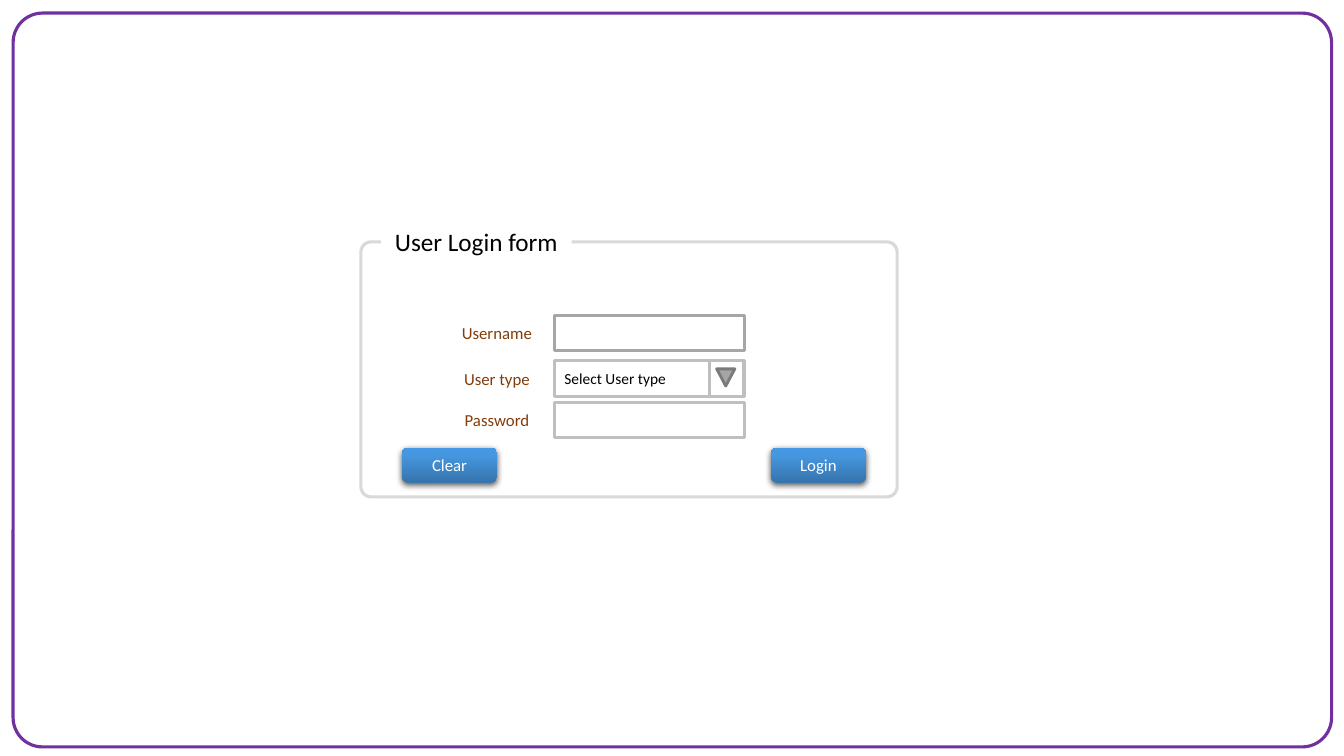
import dataclasses
import typing

import lxml.etree
import pptx
import pptx.dml.color
import pptx.enum.shapes
import pptx.enum.text
import pptx.oxml.ns
import pptx.util

SHAPES = pptx.enum.shapes.MSO_SHAPE
ANCHORS = pptx.enum.text.MSO_ANCHOR
ALIGNMENTS = pptx.enum.text.PP_ALIGN

# Ten grid columns and ten grid rows to the inch
COLUMN = ROW = pptx.util.Inches(0.1)
PAGE_COLUMNS, PAGE_ROWS = 133.33, 75

LABEL_LEFT, LABEL_WIDTH = 44.7, 9.2
FIELD_LEFT, FIELD_WIDTH = 55, 18.9
CONTROL_HEIGHT = 3.5
USERNAME_TOP, USER_TYPE_TOP, PASSWORD_TOP = 31.3, 35.8, 39.9
BUTTON_TOP, BUTTON_WIDTH = 44.4, 9.4

WHITE, BLACK, BROWN = "FFFFFF", "000000", "843C0B"
SILVER = "BFBFBF"
BUTTON_STOPS = ((0, "3674AD"), (80, "4697E0"), (100, "4498E4"))


@dataclasses.dataclass(frozen=True)
class Panel:
    left: float
    top: float
    width: float
    height: float
    line: typing.Optional[str] = None
    weight: float = 2
    fill: typing.Optional[str] = None
    kind: int = SHAPES.RECTANGLE
    corner: typing.Optional[float] = None


@dataclasses.dataclass(frozen=True)
class Label:
    text: str
    top: float


@dataclasses.dataclass(frozen=True)
class Button:
    text: str
    left: float


OUTER_FRAME = Panel(1.3, 1.3, 130.8, 72.8, "7030A0", 2.25,
                    kind=SHAPES.ROUNDED_RECTANGLE, corner=0.04)
USERNAME_FIELD = Panel(FIELD_LEFT, USERNAME_TOP, FIELD_WIDTH, CONTROL_HEIGHT,
                       "A6A6A6", fill=WHITE)
USER_TYPE_FIELD = Panel(FIELD_LEFT, USER_TYPE_TOP, FIELD_WIDTH, CONTROL_HEIGHT,
                        SILVER, fill=WHITE)
PASSWORD_FIELD = Panel(FIELD_LEFT, PASSWORD_TOP, FIELD_WIDTH, CONTROL_HEIGHT,
                       SILVER, fill=WHITE)
DROPDOWN_ARROW = Panel(71.1, 36.6, 1.8, 1.7, "7A7A7A", fill="A5A5A5",
                       kind=SHAPES.FLOWCHART_MERGE)
DROPDOWN_FRAME = Panel(70.4, USER_TYPE_TOP, 3.4, CONTROL_HEIGHT, SILVER)
FORM_FRAME = Panel(35.8, 24, 53.2, 25.3, "D9D9D9", 2.25,
                   kind=SHAPES.ROUNDED_RECTANGLE, corner=0.04)
FORM_TITLE = Panel(37.8, 22, 18.9, 7, fill=WHITE)

LABELS = (Label("Username", USERNAME_TOP), Label("User type", USER_TYPE_TOP),
          Label("Password", PASSWORD_TOP))
BUTTONS = (Button("Login", 76.5), Button("Clear", 39.9))


def colour(value: str) -> pptx.dml.color.RGBColor:
    return pptx.dml.color.RGBColor.from_string(value)


def grid_box(left: float, top: float, width: float, height: float) -> tuple:
    """Turn grid columns and rows into slide lengths."""
    return (round(left * COLUMN), round(top * ROW),
            round(width * COLUMN), round(height * ROW))


def write(box, text: str, *, size: float = 12, ink: str = BLACK,
          align=ALIGNMENTS.CENTER, anchor=ANCHORS.MIDDLE) -> None:
    frame = box.text_frame
    frame.word_wrap = True
    frame.vertical_anchor = anchor
    para = frame.paragraphs[0]
    para.alignment = align
    span = para.add_run()
    span.text = text
    span.font.name = "Calibri"
    span.font.size = pptx.util.Pt(size)
    span.font.color.rgb = colour(ink)


def draw_panel(page, panel: Panel):
    box = page.shapes.add_shape(
        panel.kind, *grid_box(panel.left, panel.top, panel.width, panel.height))
    box.shadow.inherit = False
    if panel.corner is not None:
        box.adjustments[0] = panel.corner
    if panel.fill:
        box.fill.solid()
        box.fill.fore_color.rgb = colour(panel.fill)
    else:
        box.fill.background()
    if panel.line:
        box.line.color.rgb = colour(panel.line)
        box.line.width = pptx.util.Pt(panel.weight)
    else:
        box.line.fill.background()
    return box


def draw_label(page, label: Label) -> None:
    box = page.shapes.add_textbox(
        *grid_box(LABEL_LEFT, label.top, LABEL_WIDTH, CONTROL_HEIGHT))
    write(box, label.text, ink=BROWN)


def add_element(parent, name: str, **attributes: str):
    return lxml.etree.SubElement(parent, pptx.oxml.ns.qn(name), attributes)


def shade_button(box) -> None:
    """Give the button its three-stop gradient and a soft shadow below."""
    box.fill.gradient()
    box.fill.gradient_angle = 90
    properties = box.element.spPr
    stops = properties.find(".//" + pptx.oxml.ns.qn("a:gsLst"))
    for stop in list(stops):
        stops.remove(stop)
    for percent, value in BUTTON_STOPS:
        stop = add_element(stops, "a:gs", pos=str(percent * 1000))
        add_element(stop, "a:srgbClr", val=value)
    effects = properties.find(pptx.oxml.ns.qn("a:effectLst"))
    shadow = add_element(effects, "a:outerShdw",
                         blurRad=str(pptx.util.Pt(4.5)),
                         dist=str(pptx.util.Pt(1.5)),
                         dir="5400000", rotWithShape="0")
    ink = add_element(shadow, "a:srgbClr", val=BLACK)
    add_element(ink, "a:alpha", val="63000")


def draw_button(page, button: Button) -> None:
    box = draw_panel(page, Panel(button.left, BUTTON_TOP, BUTTON_WIDTH,
                                 CONTROL_HEIGHT, corner=0.17,
                                 kind=SHAPES.ROUNDED_RECTANGLE))
    shade_button(box)
    write(box, button.text, ink=WHITE)


def main() -> None:
    deck = pptx.Presentation()
    deck.slide_width = round(PAGE_COLUMNS * COLUMN)
    deck.slide_height = PAGE_ROWS * ROW
    page = deck.slides.add_slide(deck.slide_layouts[6])

    draw_panel(page, OUTER_FRAME)
    draw_panel(page, USERNAME_FIELD)
    for label in LABELS:
        draw_label(page, label)
    write(draw_panel(page, USER_TYPE_FIELD), "Select User type", size=11,
          align=ALIGNMENTS.LEFT)
    for panel in (DROPDOWN_ARROW, PASSWORD_FIELD, FORM_FRAME):
        draw_panel(page, panel)
    write(draw_panel(page, FORM_TITLE), "User Login form", size=18,
          anchor=ANCHORS.TOP)
    for button in BUTTONS:
        draw_button(page, button)
    draw_panel(page, DROPDOWN_FRAME)

    deck.save("out.pptx")


if __name__ == "__main__":
    main()
